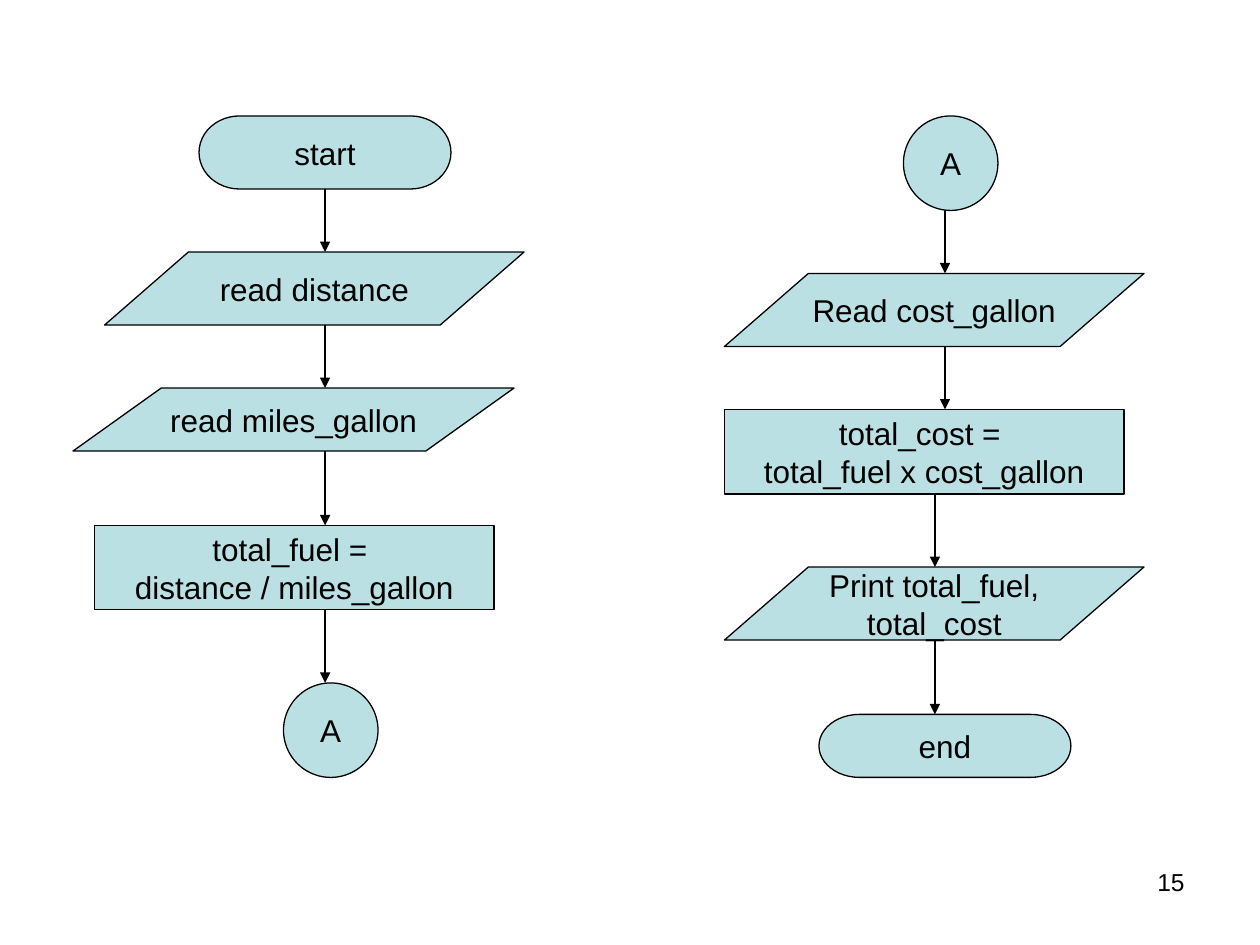
from pptx import Presentation
from pptx.dml.color import RGBColor
from pptx.enum.shapes import MSO_CONNECTOR, MSO_SHAPE
from pptx.enum.text import MSO_ANCHOR, PP_ALIGN
from pptx.oxml.ns import qn
from pptx.util import Inches, Pt
from lxml.etree import SubElement

COLORS = {"fill": "BBE0E3", "ink": "000000"}
LINE_WIDTH = Pt(0.75)

TERMINATOR = MSO_SHAPE.FLOWCHART_TERMINATOR
DATA = MSO_SHAPE.FLOWCHART_DATA
PROCESS = MSO_SHAPE.FLOWCHART_PROCESS
CONNECTOR = MSO_SHAPE.FLOWCHART_CONNECTOR

# Each step: kind, left, top, width, height, lines of text
LEFT_STEPS = [
    (TERMINATOR, 1.58, 0.92, 2, 0.58, ["start"]),
    (DATA, 0.83, 2, 3.33, 0.58, ["read distance"]),
    (DATA, 0.58, 3.08, 3.5, 0.5, ["read miles_gallon"]),
    (PROCESS, 0.75, 4.17, 3.17, 0.67, ["total_fuel = ", "distance / miles_gallon"]),
    (CONNECTOR, 2.25, 5.42, 0.75, 0.75, ["A"]),
]
RIGHT_STEPS = [
    (CONNECTOR, 7.17, 0.92, 0.75, 0.75, ["A"]),
    (DATA, 5.75, 2.17, 3.33, 0.58, ["Read cost_gallon"]),
    (PROCESS, 5.75, 3.25, 3.17, 0.67, ["total_cost = ", "total_fuel x cost_gallon"]),
    (DATA, 5.75, 4.5, 3.33, 0.58, ["Print total_fuel,", "total_cost"]),
    (TERMINATOR, 6.5, 5.67, 2, 0.5, ["end"]),
]


def rgb(name):
    return RGBColor.from_string(COLORS[name])


def write_lines(tf, lines, size, align):
    for i, line in enumerate(lines):
        p = tf.add_paragraph() if i else tf.paragraphs[0]
        p.text = line
        p.alignment = align
        p.font.name = "Arial"
        p.font.size = Pt(size)
        p.font.color.rgb = rgb("ink")


def add_step(group, kind, left, top, width, height, lines):
    sp = group.shapes.add_shape(
        kind, Inches(left), Inches(top), Inches(width), Inches(height))
    sp.shadow.inherit = False
    sp.fill.solid()
    sp.fill.fore_color.rgb = rgb("fill")
    sp.line.color.rgb = rgb("ink")
    sp.line.width = LINE_WIDTH
    tf = sp.text_frame
    tf.word_wrap = False
    tf.vertical_anchor = MSO_ANCHOR.MIDDLE
    write_lines(tf, lines, 18, PP_ALIGN.CENTER)
    return sp


def add_arrow(group, x, top, bottom):
    line = group.shapes.add_connector(
        MSO_CONNECTOR.STRAIGHT, Inches(x), top, Inches(x), bottom)
    line.line.color.rgb = rgb("ink")
    line.line.width = LINE_WIDTH
    SubElement(line.line._get_or_add_ln(), qn("a:tailEnd"), type="triangle")
    SubElement(line._element.spPr, qn("a:effectLst"))


def add_flow(slide, steps, arrow_xs):
    """Draw the steps of one column and an arrow between each two."""
    group = slide.shapes.add_group_shape()
    shapes = [add_step(group, *step) for step in steps]
    for upper, lower, x in zip(shapes, shapes[1:], arrow_xs):
        add_arrow(group, x, upper.top + upper.height, lower.top)


def add_page_number(slide, number):
    box = slide.shapes.add_textbox(
        Inches(7.17), Inches(6.83), Inches(2.33), Inches(0.52))
    box.text_frame.word_wrap = True
    write_lines(box.text_frame, [number], 14, PP_ALIGN.RIGHT)


def main():
    prs = Presentation()
    prs.slide_width, prs.slide_height = Inches(10), Inches(7.5)
    s = prs.slides.add_slide(prs.slide_layouts[6])
    add_flow(s, LEFT_STEPS, [2.58] * 4)
    add_flow(s, RIGHT_STEPS, [7.5, 7.5, 7.42, 7.42])
    add_page_number(s, "15")
    prs.save("out.pptx")


if __name__ == "__main__":
    main()
